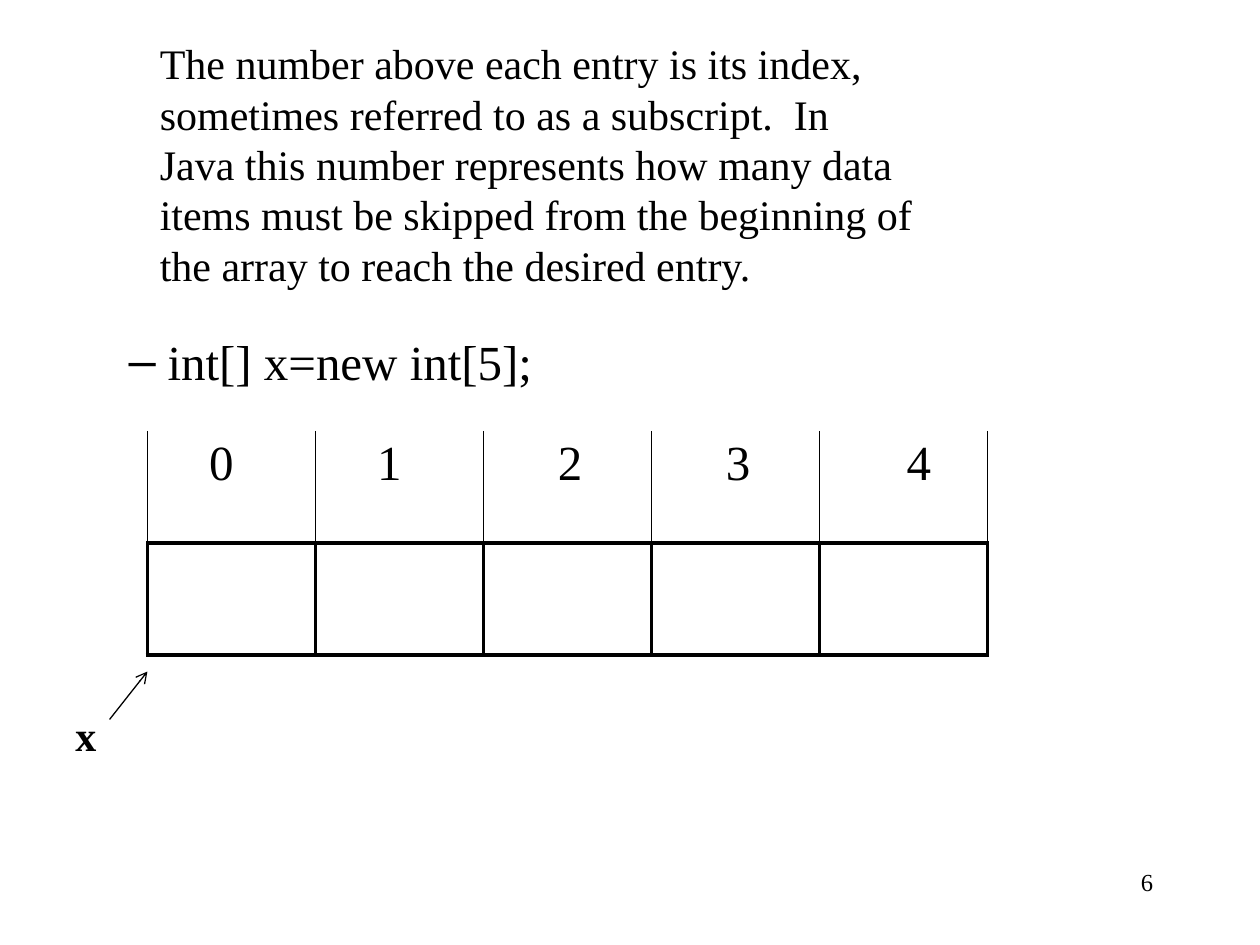
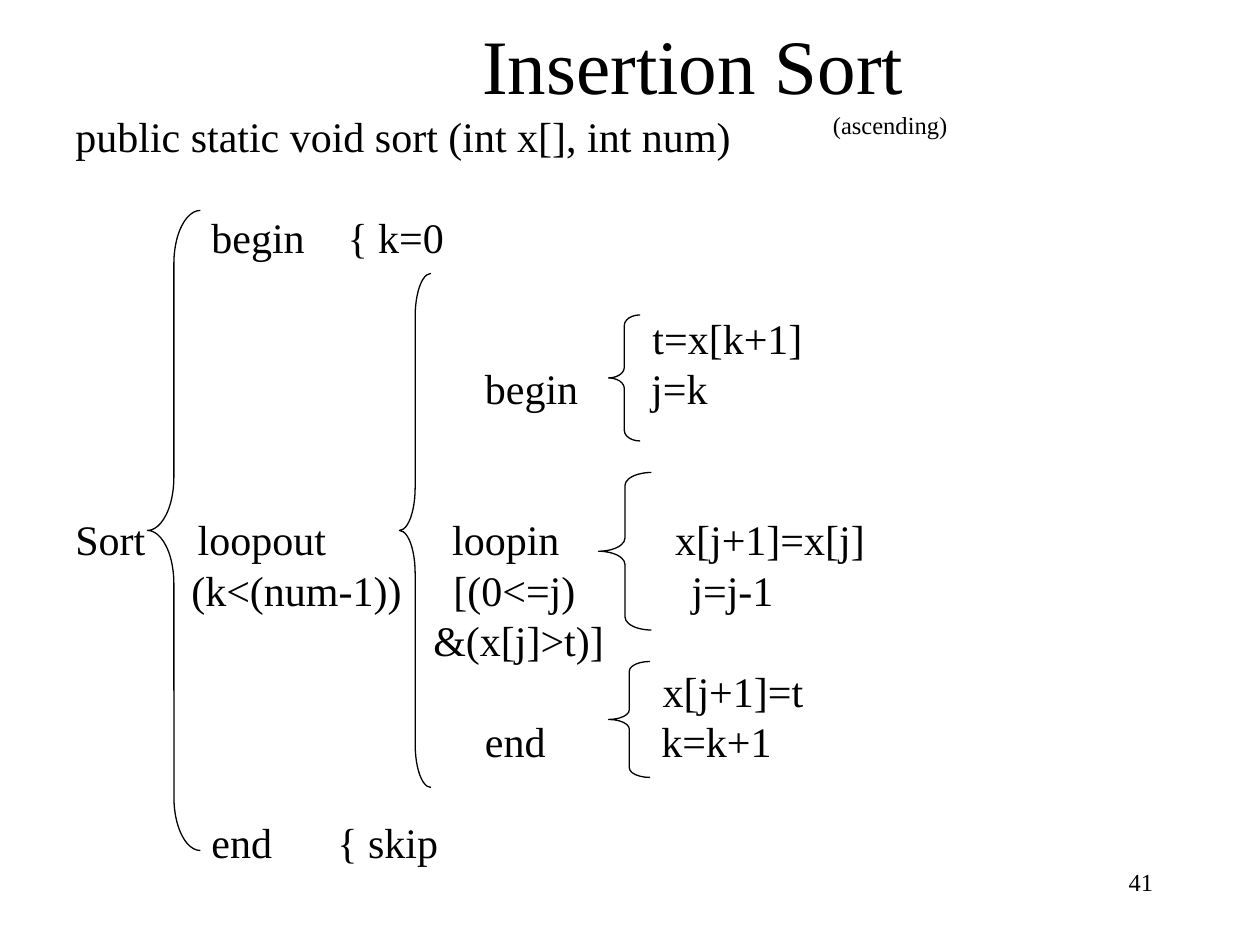
from lxml import etree
from pptx import Presentation
from pptx.dml.color import RGBColor
from pptx.enum.shapes import MSO_CONNECTOR, MSO_SHAPE
from pptx.enum.text import MSO_ANCHOR, MSO_AUTO_SIZE, PP_ALIGN
from pptx.oxml.ns import qn
from pptx.util import Inches, Pt

STRAIGHT, LEFT_BRACE = MSO_CONNECTOR.STRAIGHT, MSO_SHAPE.LEFT_BRACE
CENTER, LEFT, RIGHT = PP_ALIGN.CENTER, PP_ALIGN.LEFT, PP_ALIGN.RIGHT
MIDDLE, TOP, NO_FIT = MSO_ANCHOR.MIDDLE, MSO_ANCHOR.TOP, MSO_AUTO_SIZE.NONE
FONT, INK = "Times New Roman", "000000"
THIN, THICK = 0.45, 2.21
LINE_PITCH = 28.8

SORT_LINES = [
    (0, [(0, "public static void sort (int x[], int num)")]),
    (2, [(1.08, "begin"), (2.16, "{ k=0")]),
    (4, [(4.58, "t=x[k+1]")]),
    (5, [(3.25, "begin"), (4.57, "j=k")]),
    (8, [(0, "Sort"), (0.97, "loopout"), (2.99, "loopin"), (4.76, "x[j+1]=x[j]")]),
    (9, [(0.92, "(k<(num-1))"), (3, "[(0<=j)"), (4.89, "j=j-1")]),
    (10, [(2.84, "&(x[j]>t)]")]),
    (11, [(4.66, "x[j+1]=t")]),
    (12, [(3.25, "end"), (4.65, "k=k+1")]),
    (14, [(1.08, "end"), (2.08, "{ skip")]),
]
SORT_BRACES = [
    (1.17, 1.67, 0.42, 5.08),
    (3.17, 2.17, 0.25, 4.08),
    (4.83, 2.5, 0.25, 1),
    (4.75, 3.75, 0.42, 1.25),
    (4.83, 5.25, 0.33, 0.92),
]


def color(value):
    """Turn a hex string into a colour."""
    return RGBColor.from_string(value)


def set_values(target, values):
    """Set each attribute named in a dict."""
    for name, value in values.items():
        setattr(target, name, value)


def add_child(parent, tag, **attributes):
    """Append a drawing element to its parent."""
    return etree.SubElement(parent, qn(f"a:{tag}"), attributes)


def write_para(para, text, size, bold=False, align=LEFT, pitch=None):
    """Fill a paragraph and format it in the deck's font."""
    para.text = text
    set_values(para, {"alignment": align, "space_before": Pt(0)})
    if pitch:
        para.line_spacing = Pt(pitch)
    set_values(para.font, {"name": FONT, "size": Pt(size), "bold": bold})
    para.font.color.rgb = color(INK)


def place(shape, box):
    """Move a shape to a box given in inches."""
    names = ("left", "top", "width", "height")
    set_values(shape, dict(zip(names, map(Inches, box))))


def add_text(page, box, text, size, wrap=True, **look):
    """Add a one-paragraph text box."""
    frame = page.shapes.add_textbox(*map(Inches, box)).text_frame
    frame.word_wrap = wrap
    write_para(frame.paragraphs[0], text, size, **look)
    return frame


def add_page(deck, layout, number):
    """Add a slide with its page number."""
    page = deck.slides.add_slide(deck.slide_layouts[layout])
    add_text(page, (7.17, 6.83, 2.08, 0.5), number, 14, align=RIGHT)
    return page


def add_declaration(page, box, text):
    """Put a dashed code line into the body placeholder."""
    body = page.placeholders[1]
    place(body, box)
    frame = body.text_frame
    set_values(frame, {"auto_size": NO_FIT, "vertical_anchor": TOP})
    para = frame.paragraphs[0]
    para.level = 1
    properties = para._p.get_or_add_pPr()
    properties.set("marL", str(Inches(0.81)))
    properties.set("indent", str(Inches(-0.31)))
    add_child(properties, "buChar", char="–")
    write_para(para, text, 28)


def set_borders(cell, widths):
    """Draw cell borders from widths keyed by side, zero for none."""
    properties = cell._tc.get_or_add_tcPr()
    for side in "LRTB":
        width = widths[side]
        line = add_child(properties, f"ln{side}", w=str(Pt(width)))
        if width:
            fill = add_child(line, "solidFill")
            add_child(fill, "srgbClr", val=INK)
        else:
            add_child(line, "noFill")
    cell.fill.background()


def add_array(page, box, count):
    """Add the array table with indexes above empty entries."""
    table = page.shapes.add_table(2, count, *map(Inches, box)).table
    set_values(table, {"first_row": False, "horz_banding": False})
    for column in range(count):
        index, entry = table.cell(0, column), table.cell(1, column)
        set_borders(index, {"L": THIN, "R": THIN, "T": 0, "B": THICK})
        set_borders(entry, dict.fromkeys("LRTB", THICK))
        index.margin_left = Inches(0.49 + 0.1 * (column // 2))
        write_para(index.text_frame.paragraphs[0], str(column), 28)


def add_arrow(page, start, end):
    """Add a thin line with an open arrowhead at its end."""
    arrow = page.shapes.add_connector(STRAIGHT, *map(Inches, start + end))
    arrow.line.color.rgb = color(INK)
    arrow.line.width = Pt(0.75)
    add_child(arrow.line._get_or_add_ln(), "tailEnd", type="arrow")
    add_child(arrow._element.spPr, "effectLst")


def add_brace(page, box):
    """Add a left brace whose curls take a twelfth of its height."""
    brace = page.shapes.add_shape(LEFT_BRACE, *map(Inches, box))
    width, height = box[2:]
    brace.adjustments[0] = height / 12 / min(width, height)
    brace.shadow.inherit = False
    brace.fill.background()
    brace.line.color.rgb = color(INK)
    brace.line.width = Pt(0.75)


def add_heading(page, box, text, remark):
    """Fill the title with a heading and a small remark to the right."""
    title = page.shapes.title
    place(title, box)
    frame = title.text_frame
    set_values(frame, {"auto_size": NO_FIT, "vertical_anchor": MIDDLE})
    write_para(frame.paragraphs[0], text, 44, align=CENTER)
    para = frame.add_paragraph()
    para._p.get_or_add_pPr().set("marL", str(Inches(3.13)))
    write_para(para, remark, 14, align=CENTER)


def add_diagram_text(page, box, lines):
    """Write diagram lines, with tab stops for columns and spacing for gaps."""
    frame = page.shapes.add_textbox(*map(Inches, box)).text_frame
    frame.word_wrap = True
    previous = 0
    for row, parts in lines:
        para = frame.add_paragraph() if row else frame.paragraphs[0]
        stops = [stop for stop, _ in parts if stop]
        if stops:
            tabs = add_child(para._p.get_or_add_pPr(), "tabLst")
            for stop in stops:
                add_child(tabs, "tab", pos=str(Inches(stop)), algn="l")
        text = "".join("\t" * bool(stop) + words for stop, words in parts)
        write_para(para, text, 24, pitch=LINE_PITCH)
        para.space_before = Pt(LINE_PITCH * max(row - previous - 1, 0))
        previous = row


def build_index_page(deck):
    """Build the slide on array indexes."""
    page = add_page(deck, 1, "6")
    title = page.shapes.title._element
    title.getparent().remove(title)
    add_declaration(page, (0.42, 2.58, 8.75, 4), "int[] x=new int[5];")
    add_array(page, (1.17, 3.42, 6.67, 1.78), 5)
    add_text(page, (0.5, 5.58, 0.36, 0.5), "x", 24, wrap=False, bold=True)
    add_text(
        page, (1.17, 0.25, 6.18, 2.1),
        "The number above each entry is its index, sometimes referred to as a "
        "subscript.  In Java this number represents how many data items must be "
        "skipped from the beginning of the array to reach the desired entry.",
        24, pitch=LINE_PITCH)
    add_arrow(page, (0.87, 5.71), (1.17, 5.33))


def build_sort_page(deck):
    """Build the insertion sort diagram slide."""
    page = add_page(deck, 5, "41")
    add_heading(page, (1.25, 0, 8.5, 1.25), "Insertion Sort", "(ascending)")
    add_diagram_text(page, (0.5, 0.83, 8.92, 6.1), SORT_LINES)
    for box in SORT_BRACES:
        add_brace(page, box)


def main():
    """Build and save the deck."""
    deck = Presentation()
    set_values(deck, {"slide_width": Inches(10), "slide_height": Inches(7.5)})
    build_index_page(deck)
    build_sort_page(deck)
    deck.save("out.pptx")


if __name__ == "__main__":
    main()
